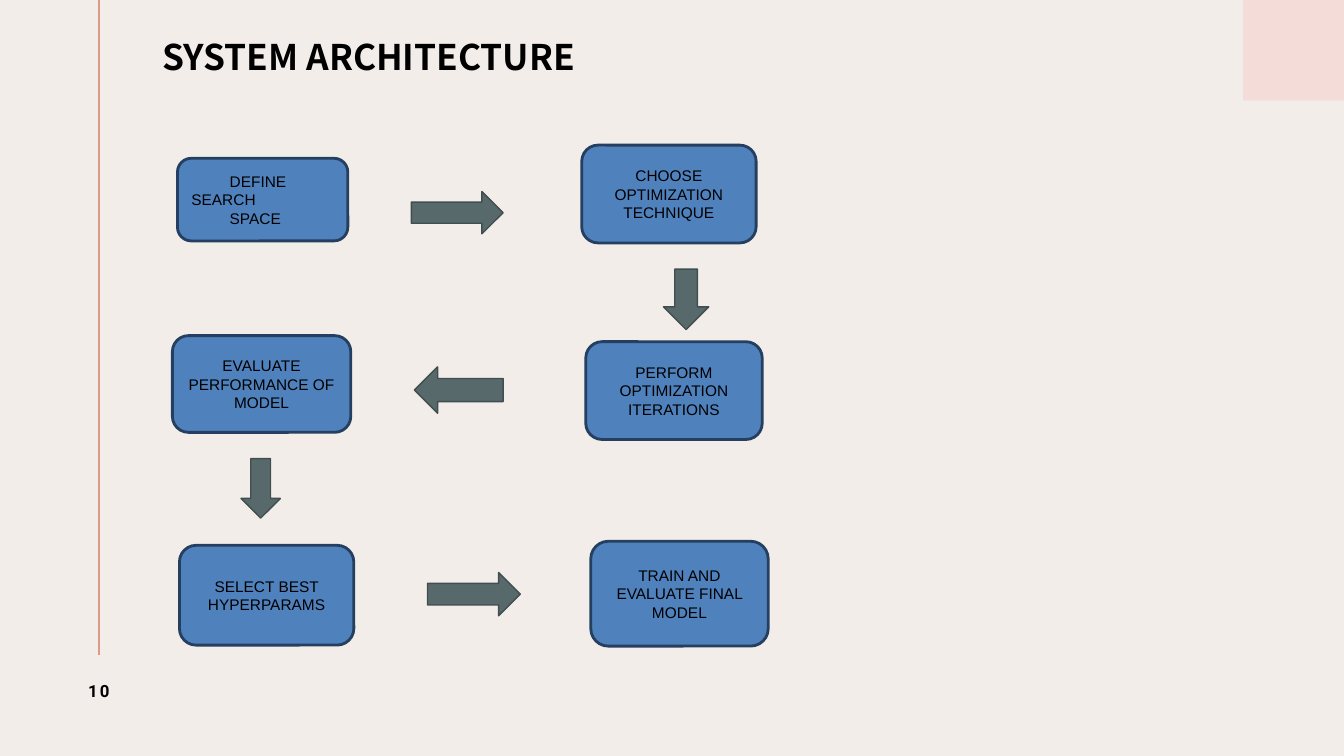
from lxml import etree
from pptx import Presentation
from pptx.dml.color import RGBColor
from pptx.enum.shapes import MSO_CONNECTOR, MSO_SHAPE
from pptx.enum.text import MSO_ANCHOR, PP_ALIGN
from pptx.oxml.ns import qn
from pptx.util import Inches, Pt

RECT, ROUND = MSO_SHAPE.RECTANGLE, MSO_SHAPE.ROUNDED_RECTANGLE
RIGHT, LEFT, DOWN = MSO_SHAPE.RIGHT_ARROW, MSO_SHAPE.LEFT_ARROW, MSO_SHAPE.DOWN_ARROW
MIDDLE, CENTER, START = MSO_ANCHOR.MIDDLE, PP_ALIGN.CENTER, PP_ALIGN.LEFT

prs = Presentation()
prs.slide_width, prs.slide_height = Inches(13.33), Inches(7.5)
slide = prs.slides.add_slide(prs.slide_layouts[6])
slide.background.fill.solid()
slide.background.fill.fore_color.rgb = RGBColor.from_string("F3EDEA")


def draw(kind, area, fill, edge=None, width=1):
    shape = slide.shapes.add_shape(kind, *map(Inches, area))
    shape.shadow.inherit = False
    shape.fill.solid()
    shape.fill.fore_color.rgb = RGBColor.from_string(fill)
    if edge:
        shape.line.color.rgb = RGBColor.from_string(edge)
        shape.line.width = Pt(width)
    else:
        shape.line.fill.background()
    return shape


def write(shape, lines, size, face, align=CENTER, bold=False):
    frame = shape.text_frame
    frame.word_wrap = True
    frame.vertical_anchor = MIDDLE
    frame.text = lines
    for para in frame.paragraphs:
        para.alignment = align
        font = para.font
        font.size, font.name, font.bold = Pt(size), face, bold
        font.color.rgb = RGBColor.from_string("000000")
    return frame


# Page frame
draw(RECT, (12.33, 0, 1, 1), "F4DDD8")
rule = slide.shapes.add_connector(
    MSO_CONNECTOR.STRAIGHT, Inches(0.98), 0, Inches(0.98), Inches(6.5))
rule.line.color.rgb = RGBColor.from_string("DF998B")
rule.line.width = Pt(1.5)
etree.SubElement(rule._element.spPr, qn("a:effectLst"))

title = slide.shapes.add_textbox(*map(Inches, (1.61, 0.3, 4.88, 0.57)))
head = write(title, "SYSTEM ARCHITECTURE", 25.2, "Noto Sans CJK SC", START, True)
head.margin_left = 0
head.paragraphs[0].line_spacing = 0.9

number = slide.shapes.add_textbox(*map(Inches, (0.45, 6.5, 1.06, 0.71)))
page = write(number, "10", 12, "Roboto", bold=True)
page.paragraphs[0].runs[0].font._element.set("spc", "150")

# Steps of the flow
steps = [
    ((1.76, 1.57, 1.69, 0.82), "DEFINE SEARCH\nSPACE"),
    ((5.77, 1.44, 1.73, 0.97), "CHOOSE OPTIMIZATION TECHNIQUE"),
    ((5.81, 3.39, 1.75, 0.97), "PERFORM OPTIMIZATION ITERATIONS"),
    ((1.71, 3.33, 1.77, 0.96), "EVALUATE PERFORMANCE OF MODEL"),
    ((1.78, 5.41, 1.73, 0.99), "SELECT BEST HYPERPARAMS"),
    ((5.86, 5.37, 1.76, 1.04), "TRAIN AND EVALUATE FINAL MODEL"),
]
for step, (area, label) in enumerate(steps):
    box = draw(ROUND, area, "4F81BD", "243F60", 2)
    frame = write(box, label, 11, "Arial", CENTER if step else START)
    if step == 0:
        for para in frame.paragraphs:
            para._p.get_or_add_pPr().set("indent", str(Inches(0.38)))

arrows = [
    (RIGHT, (4.08, 1.9, 0.91, 0.42)),
    (DOWN, (6.58, 2.67, 0.45, 0.6)),
    (LEFT, (4.11, 3.64, 0.88, 0.46)),
    (DOWN, (2.39, 4.55, 0.39, 0.59)),
    (RIGHT, (4.24, 5.68, 0.92, 0.43)),
]
for kind, area in arrows:
    draw(kind, area, "58696B", "414E4F")

prs.save("out.pptx")
